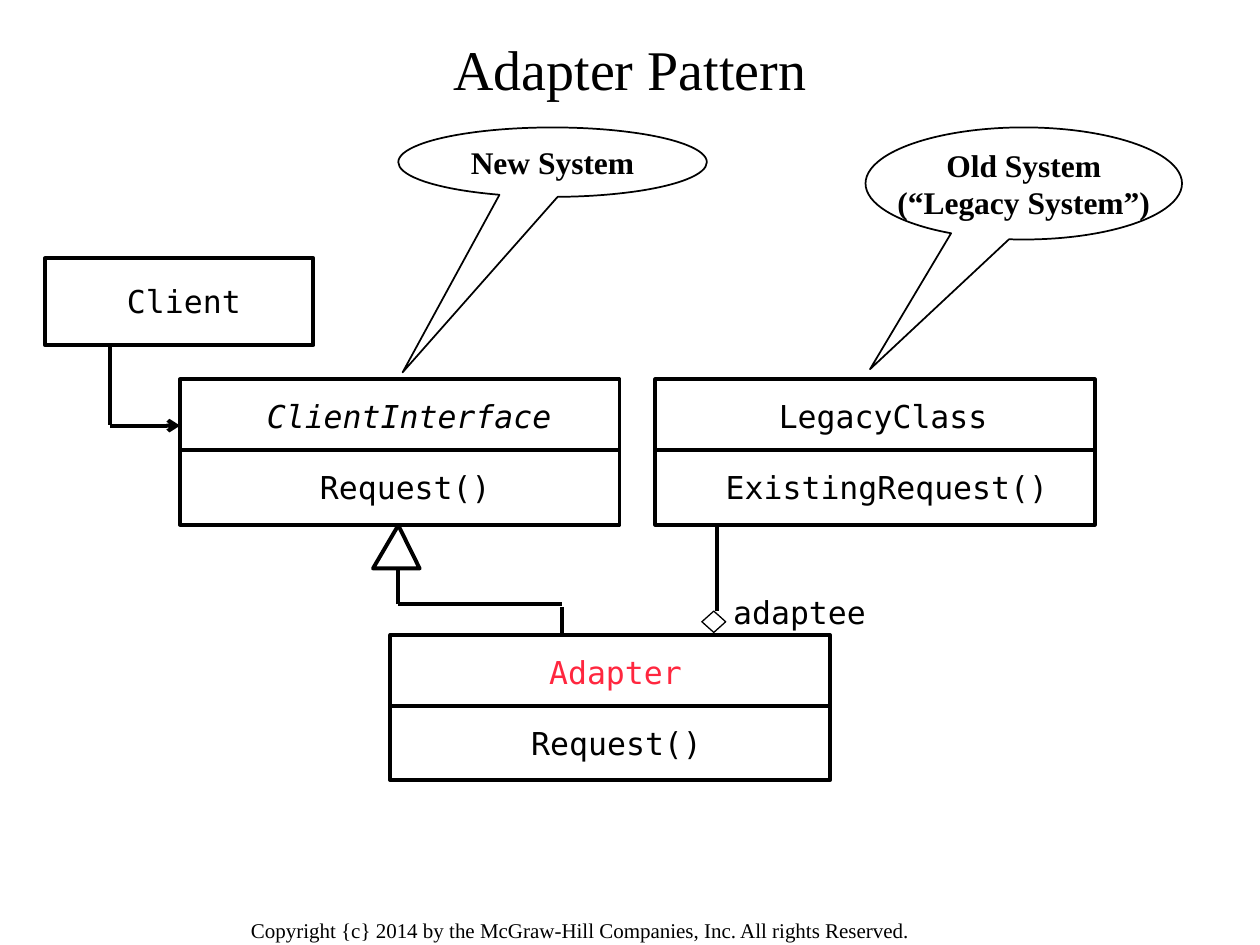
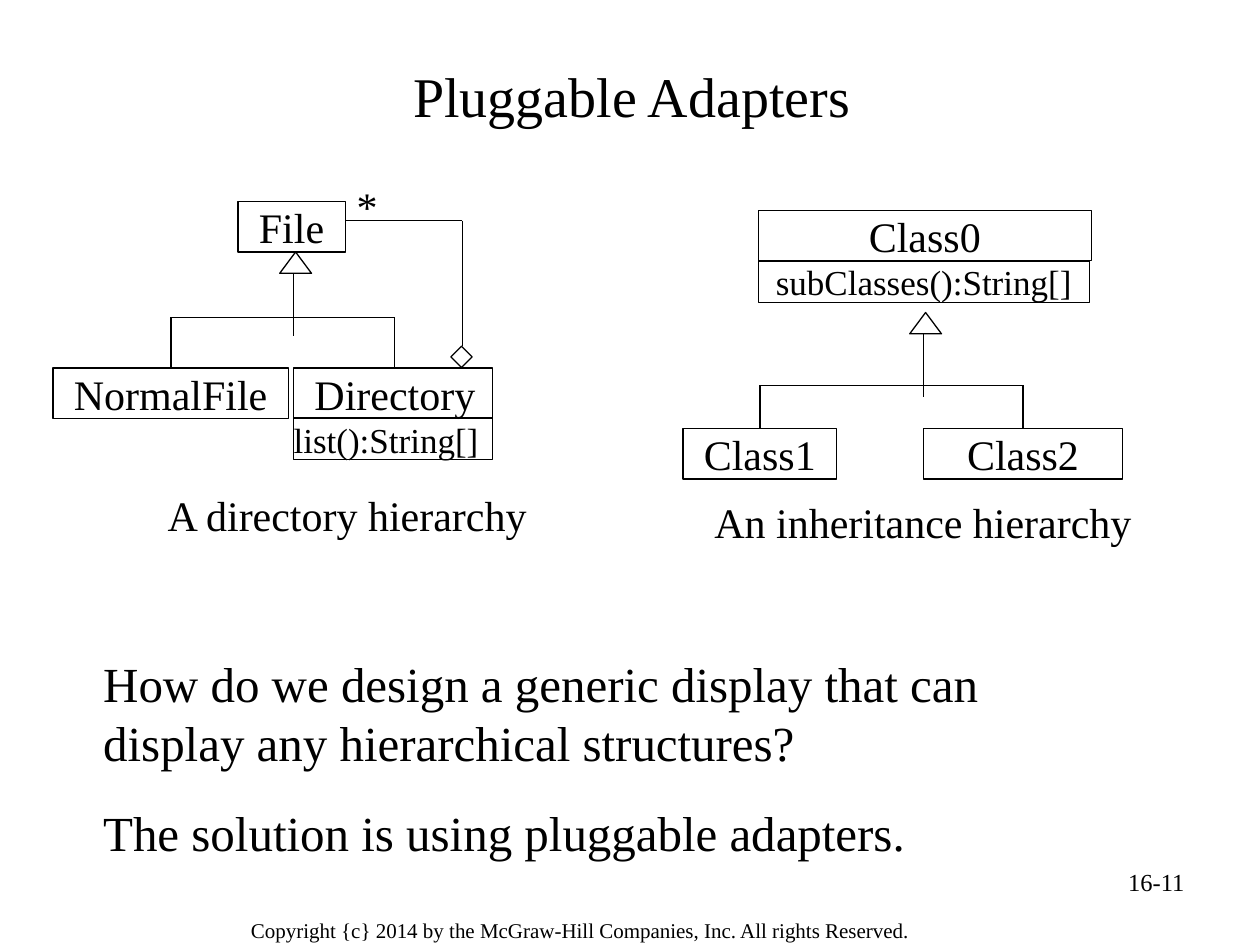
from dataclasses import dataclass

from lxml import etree
from pptx import Presentation, util as u
from pptx.dml.color import RGBColor
from pptx.enum import shapes, text
from pptx.oxml.ns import qn


@dataclass(frozen=True)
class Theme:
    ink: RGBColor = RGBColor(0, 0, 0)
    paper: RGBColor = RGBColor(255, 255, 255)
    accent: RGBColor = RGBColor(0xFF, 0x27, 0x3F)
    serif: str = "Times New Roman"
    mono: str = "DejaVu Sans Mono"
    title: float = 32
    body: float = 28
    node: float = 24
    method: float = 20
    uml: float = 18
    page: float = 14
    footer: float = 12
    heavy: float = 2.25
    callout: float = 1
    thin: float = 0.75


theme = Theme()
LEFT, CENTER, RIGHT = text.PP_ALIGN.LEFT, text.PP_ALIGN.CENTER, text.PP_ALIGN.RIGHT
TOP, MIDDLE = text.MSO_ANCHOR.TOP, text.MSO_ANCHOR.MIDDLE
KIND = shapes.MSO_SHAPE
STRAIGHT = shapes.MSO_CONNECTOR.STRAIGHT
PADDED = (0.25, 0.13, 0.25, 0.13)


def outline(item, width, fill=None):
    """Give a shape or connector a plain ink line without a shadow."""
    item.line.color.rgb = theme.ink
    item.line.width = u.Pt(width)
    if not hasattr(item, "fill"):
        etree.SubElement(item._element.spPr, qn("a:effectLst"))
        return
    item.shadow.inherit = False
    if fill is None:
        item.fill.background()
    else:
        item.fill.solid()
        item.fill.fore_color.rgb = fill


def write(shape, content, size, font=theme.serif, color=theme.ink, align=LEFT,
          anchor=TOP, margins=(0, 0, 0, 0), wrap=True, bold=False, italic=False):
    frame = shape.text_frame
    frame.text = content
    frame.word_wrap = wrap
    frame.auto_size = text.MSO_AUTO_SIZE.NONE
    frame.vertical_anchor = anchor
    (frame.margin_left, frame.margin_top,
     frame.margin_right, frame.margin_bottom) = map(u.Cm, margins)
    for paragraph in frame.paragraphs:
        paragraph.alignment = align
        paragraph.space_before = u.Pt(0)
        for run in paragraph.runs:
            run.font.name = font
            run.font.size = u.Pt(size)
            run.font.color.rgb = color
            run.font.bold = bold
            run.font.italic = italic


prs = Presentation()
prs.slide_width, prs.slide_height = u.Cm(25.4), u.Cm(19.05)
pattern = prs.slides.add_slide(prs.slide_layouts[5])
pluggable = prs.slides.add_slide(prs.slide_layouts[1])

# Title and copyright line on both slides
for slide, heading, area in (
    (pattern, "Adapter Pattern", (1.27, 0.43, 22.86, 1.9)),
    (pluggable, "Pluggable Adapters", (0.74, 0.86, 24, 2.11)),
):
    title = slide.shapes.title
    title.left, title.top, title.width, title.height = map(u.Cm, area)
    write(title, heading, theme.title, align=CENTER, anchor=MIDDLE, margins=PADDED)
    rights = slide.shapes.add_textbox(*map(u.Cm, (4.78, 18.34, 15.72, 0.79)))
    write(rights, "Copyright {c} 2014 by the McGraw-Hill Companies, Inc. All rights Reserved.",
          theme.footer, margins=(0.28, 0.15, 0.28, 0.15))

# Adapter Pattern: class boxes as (left, top, name, name indent, operation, operation indent)
for left, top, name, name_indent, operation, operation_indent in (
    (3.63, 7.65, "ClientInterface", 1.75, "Request()", 2.82),
    (13.21, 7.65, "LegacyClass", 2.49, "ExistingRequest()", 1.42),
    (7.87, 12.8, "Adapter", 3.2, "Request()", 2.84),
):
    for label, indent, offset, height in (
        (name, name_indent, 0, 1.43),
        (operation, operation_indent, 1.43, 1.5),
    ):
        compartment = pattern.shapes.add_shape(
            KIND.RECTANGLE, *map(u.Cm, (left, top + offset, 8.86, height)))
        outline(compartment, theme.heavy)
        write(compartment, label, theme.uml, theme.mono,
              theme.accent if label == "Adapter" else theme.ink,
              margins=(indent, 0.36, 0, 0), italic=label == "ClientInterface")

client = pattern.shapes.add_shape(KIND.RECTANGLE, *map(u.Cm, (0.91, 5.21, 5.41, 1.75)))
outline(client, theme.heavy)
write(client, "Client", theme.uml, theme.mono, margins=(1.65, 0.48, 0, 0))

for ends in (
    (8.03, 11.46, 8.03, 12.17),
    (8.03, 12.17, 11.33, 12.17),
    (11.33, 12.24, 11.33, 12.8),
    (14.45, 10.62, 14.45, 12.32),
    (2.21, 6.93, 2.21, 8.56),
    (2.21, 8.58, 3.63, 8.58),
):
    relation = pattern.shapes.add_connector(STRAIGHT, *map(u.Cm, ends))
    outline(relation, theme.heavy)
# The last relation points from Client to ClientInterface
etree.SubElement(relation._element.spPr.find(qn("a:ln")), qn("a:tailEnd"), type="arrow")

corners = [(u.Cm(x), u.Cm(y)) for x, y in ((7.52, 11.46), (8.03, 10.59), (8.46, 11.46))]
builder = pattern.shapes.build_freeform(*corners[0])
builder.add_line_segments(corners[1:], close=True)
outline(builder.convert_to_shape(), theme.heavy)

adaptee = pattern.shapes.add_textbox(*map(u.Cm, (14.78, 11.96, 2.85, 0.76)))
write(adaptee, "adaptee", theme.uml, theme.mono)

for area, tip, system in (
    ((17.45, 2.57, 6.38, 2.26), 1.657, "Old System\n(“Legacy System”)"),
    ((8.03, 2.57, 6.22, 1.4), 3.027, "New System"),
):
    callout = pattern.shapes.add_shape(KIND.OVAL_CALLOUT, *map(u.Cm, area))
    callout.adjustments[0], callout.adjustments[1] = -0.486, tip
    outline(callout, theme.callout, theme.paper)
    write(callout, system, theme.uml, align=CENTER, anchor=MIDDLE,
          margins=PADDED, wrap=False, bold=True)

# Pluggable Adapters: nodes of both hierarchies
for area, label, size, indent, align in (
    ((4.8, 4.06, 2.16, 1.02), "File", theme.node, 0.42, LEFT),
    ((1.07, 7.42, 4.75, 1.02), "NormalFile", theme.node, 0.42, LEFT),
    ((5.92, 7.42, 4.01, 1.02), "Directory", theme.node, 0.42, LEFT),
    ((5.92, 8.43, 4.01, 0.84), "list():String[]", theme.method, 0, LEFT),
    ((15.29, 4.24, 6.71, 1.02), "Class0", theme.node, 0, CENTER),
    ((15.29, 5.26, 6.68, 0.84), "subClasses():String[]", theme.method, 0.35, LEFT),
    ((13.77, 8.64, 3.1, 1.02), "Class1", theme.node, 0.42, LEFT),
    ((18.62, 8.64, 4.01, 1.02), "Class2", theme.node, 0, CENTER),
):
    node = pluggable.shapes.add_shape(KIND.RECTANGLE, *map(u.Cm, area))
    outline(node, theme.thin)
    write(node, label, size, align=align, margins=(indent, 0, 0, 0))

# Aggregation from Directory to File, then the two inheritance trees
links = [(9.32, 6.98, 9.32, 4.45), (9.32, 4.45, 6.98, 4.45)]
marks = [(KIND.DIAMOND, pluggable, (9.09, 6.98, 0.43, 0.43)),
         (KIND.DIAMOND, pattern, (14.15, 12.32, 0.48, 0.43))]
for stem, parent, first, last, rail, child in (
    (5.92, 5.08, 3.45, 7.95, 6.4, 7.42),
    (18.62, 6.3, 15.32, 20.62, 7.77, 8.64),
):
    marks.append((KIND.ISOSCELES_TRIANGLE, pluggable, (stem - 0.28, parent, 0.64, 0.43)))
    links += [(stem, parent + 0.43, stem, parent + 1.7),
              (first, rail, last, rail),
              (first, rail, first, child),
              (last, rail, last, child)]
for ends in links:
    outline(pluggable.shapes.add_connector(STRAIGHT, *map(u.Cm, ends)), theme.thin)
for kind, slide, area in marks:
    outline(slide.shapes.add_shape(kind, *map(u.Cm, area)), theme.thin)

for area, caption in (
    ((7.19, 3.63, 0.6, 1.02), "*"),
    ((3.38, 9.86, 7.5, 1.02), "A directory hierarchy"),
    ((14.4, 10.01, 8.7, 1.02), "An inheritance hierarchy"),
):
    write(pluggable.shapes.add_textbox(*map(u.Cm, area)), caption, theme.node)

question = pluggable.placeholders[1]
question.left, question.top, question.width, question.height = map(
    u.Cm, (2.08, 13.18, 20.57, 4.17))
write(question, "How do we design a generic display that can display any hierarchical structures?\n"
      "The solution is using pluggable adapters.", theme.body)
for paragraph in question.text_frame.paragraphs:
    properties = paragraph._p.get_or_add_pPr()
    properties.set("marL", "0")
    properties.set("indent", "0")
    etree.SubElement(properties, qn("a:buNone"))
paragraph.space_before = u.Pt(17.5)

page = pluggable.shapes.add_textbox(*map(u.Cm, (18.21, 17.35, 5.92, 1.32)))
write(page, "16-11", theme.page, align=RIGHT, margins=PADDED)

prs.save("out.pptx")
